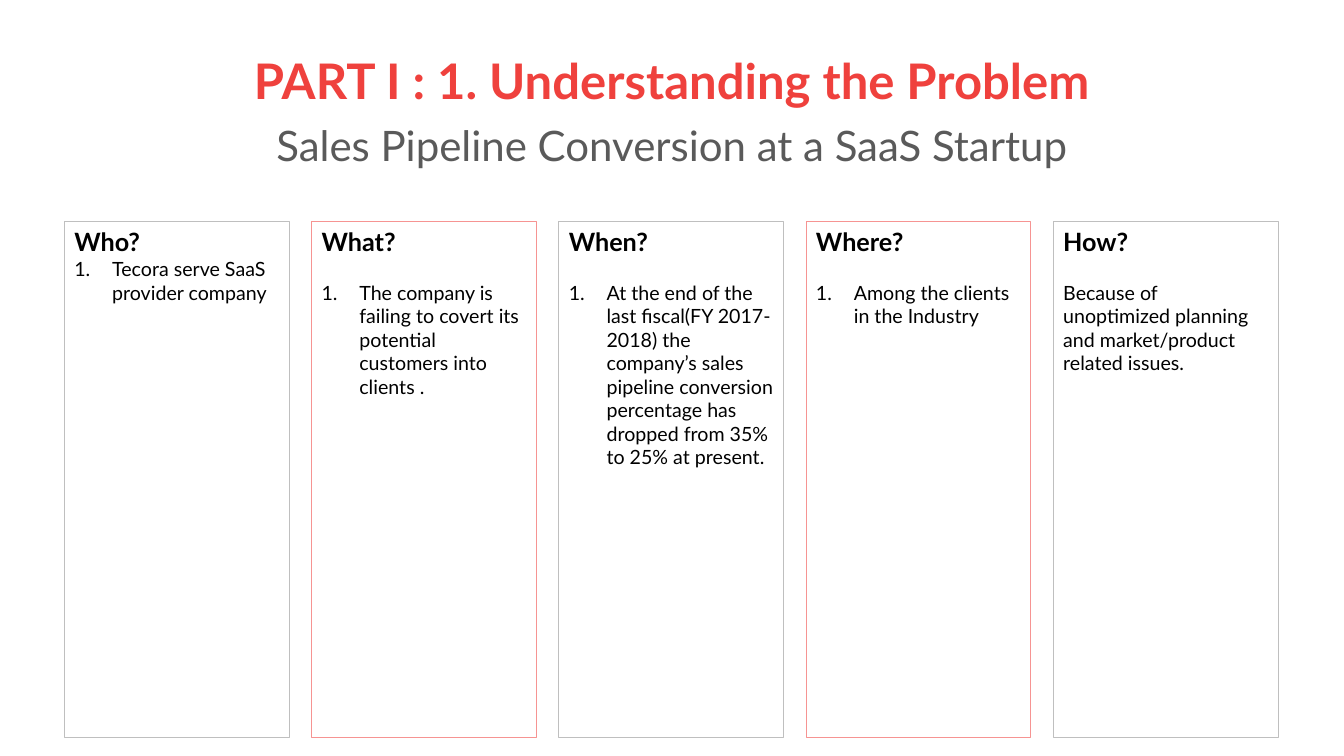
"""Build a slide that frames the sales problem in five question columns."""
import pptx
import pptx.dml.color
import pptx.enum.shapes
import pptx.enum.text
import pptx.oxml
import pptx.oxml.ns
import pptx.util

Pt = pptx.util.Pt
RGB = pptx.dml.color.RGBColor.from_string
Align = pptx.enum.text.PP_ALIGN
Anchor = pptx.enum.text.MSO_ANCHOR

TITLE = "PART I : 1. Understanding the Problem"
TOPIC = "Sales Pipeline Conversion at a SaaS Startup"
COLUMNS = [
    {"head": "Who?", "body": "Tecora serve SaaS provider company",
     "list": True, "gap": 0, "line": "grey"},
    {"head": "What?", "body": "The company is failing to covert its potential "
     "customers into clients .", "list": True, "gap": 16.8, "line": "rose"},
    {"head": "When?", "body": "At the end of the last fiscal(FY 2017-2018) the "
     "company’s sales pipeline conversion percentage has dropped from 35% "
     "to 25% at present.", "list": True, "gap": 16.8, "line": "grey"},
    {"head": "Where?", "body": "Among the clients in the Industry",
     "list": True, "gap": 16.8, "line": "rose"},
    {"head": "How?", "body": "Because of unoptimized planning and "
     "market/product related issues.", "list": False, "gap": 16.8,
     "line": "grey"},
]

THEME = {
    "grey": "BFBFBF",
    "rose": "F69492",
    "title": ("EF413D", {"name": "Lato", "size": Pt(35), "bold": True}),
    "topic": ("5A5A5A", {"name": "Lato", "size": Pt(30), "bold": False}),
    "head": ("000000", {"name": "Lato", "size": Pt(18), "bold": True}),
    "body": ("000000", {"name": "Lato", "size": Pt(14), "bold": False}),
}
PAGE = (960, 540)
BANNER = (66, 28.8, 828, 104.4)
LEFT, TOP, WIDE, HIGH, STEP = 46, 158.4, 160.6, 368.6, 176.6
INDENT = 27
FRAME = {"word_wrap": True, "auto_size": pptx.enum.text.MSO_AUTO_SIZE.NONE,
         "margin_left": Pt(7.2), "margin_right": Pt(7.2),
         "margin_top": Pt(3.6), "margin_bottom": Pt(3.6)}


def apply(item, values):
    """Set each named attribute on the item."""
    for name, value in values.items():
        setattr(item, name, value)


def write(para, text, style, **layout):
    """Fill one paragraph in a theme style."""
    color, font = THEME[style]
    apply(para, layout)
    run = para.add_run()
    run.text = text
    apply(run.font, font)
    run.font.color.rgb = RGB(color)


def number(para):
    """Give a paragraph a hanging number."""
    props = para._p.get_or_add_pPr()
    props.set("marL", str(Pt(INDENT)))
    props.set("indent", str(-Pt(INDENT)))
    space = pptx.oxml.ns.nsdecls("a")
    for xml in (f'<a:buClr {space}><a:srgbClr val="{THEME["body"][0]}"/></a:buClr>',
                f'<a:buFont {space} typeface="Lato"/>',
                f'<a:buAutoNum {space} type="arabicPeriod"/>'):
        props.append(pptx.oxml.parse_xml(xml))


def banner(slide):
    """Place the title and its topic line."""
    title = slide.shapes.title
    apply(title, dict(zip(("left", "top", "width", "height"), map(Pt, BANNER))))
    frame = title.text_frame
    apply(frame, FRAME | {"vertical_anchor": Anchor.MIDDLE})
    layout = {"alignment": Align.CENTER, "line_spacing": 0.9}
    write(frame.paragraphs[0], TITLE, "title", **layout)
    write(frame.add_paragraph(), TOPIC, "topic", space_before=Pt(10.8), **layout)


def column(slide, index, data):
    """Draw one outlined question column."""
    box = slide.shapes.add_shape(
        pptx.enum.shapes.MSO_SHAPE.RECTANGLE,
        Pt(LEFT + index * STEP), Pt(TOP), Pt(WIDE), Pt(HIGH))
    box.shadow.inherit = False
    box.fill.background()
    box.line.color.rgb = RGB(THEME[data["line"]])
    box.line.width = Pt(0.75)
    frame = box.text_frame
    apply(frame, FRAME | {"vertical_anchor": Anchor.TOP})
    write(frame.paragraphs[0], data["head"], "head", alignment=Align.LEFT)
    body = frame.add_paragraph()
    if data["list"]:
        number(body)
    write(body, data["body"], "body", alignment=Align.LEFT,
          space_before=Pt(data["gap"]))


def main():
    """Build and save the deck."""
    deck = pptx.Presentation()
    deck.slide_width, deck.slide_height = map(Pt, PAGE)
    slide = deck.slides.add_slide(deck.slide_layouts.get_by_name("Title Only"))
    banner(slide)
    for index, data in enumerate(COLUMNS):
        column(slide, index, data)
    deck.save("out.pptx")


if __name__ == "__main__":
    main()
